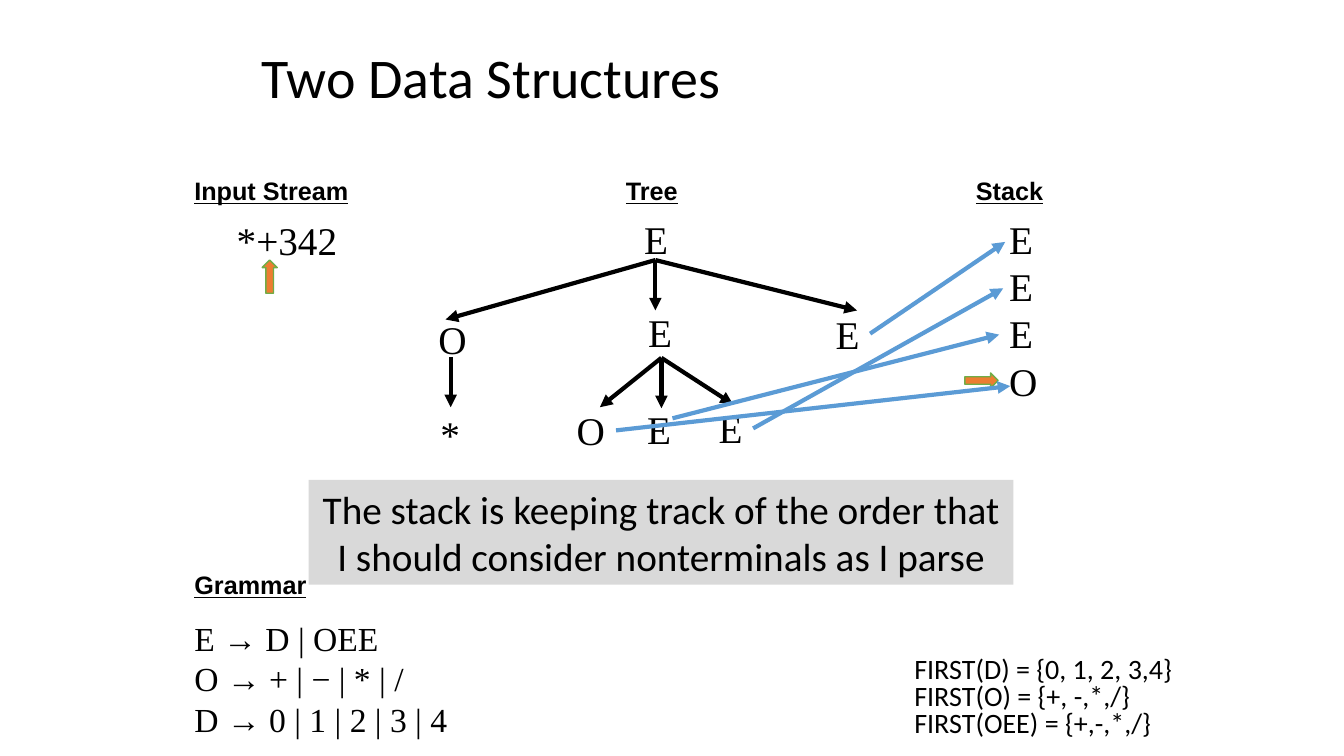
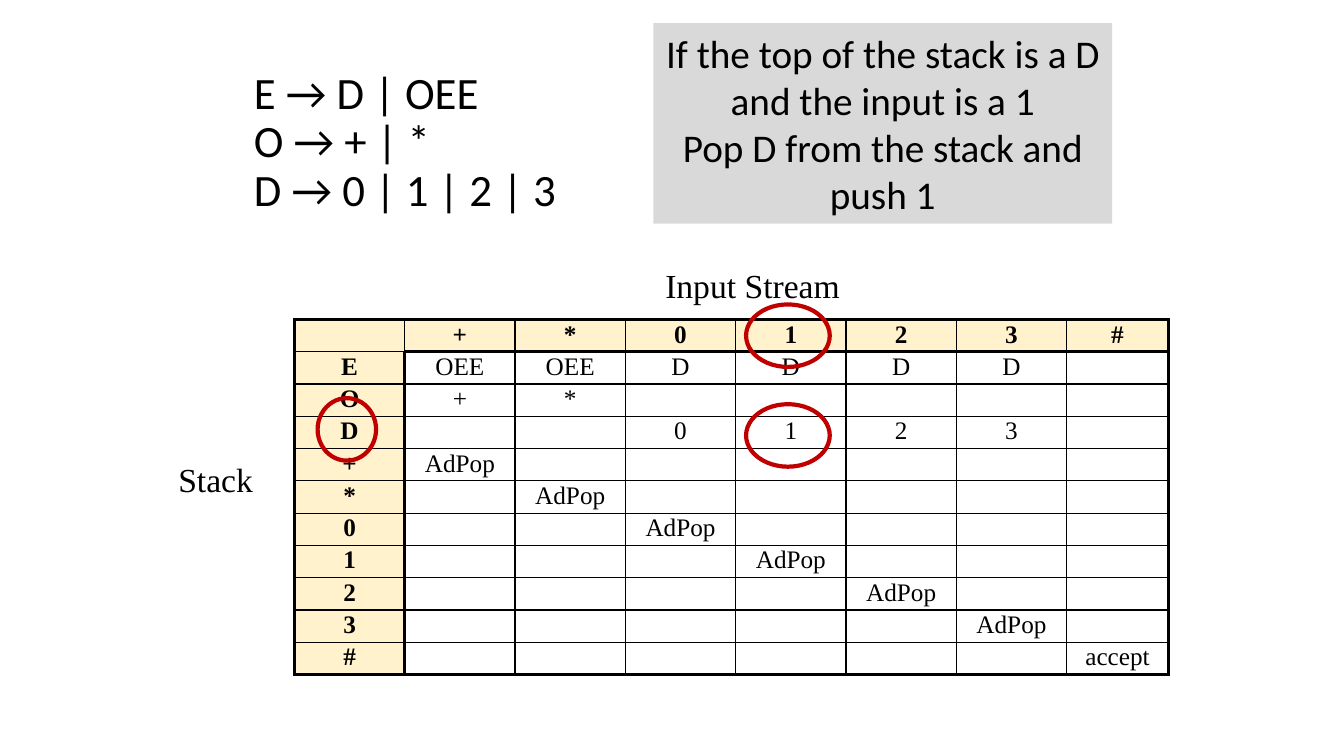
from lxml import etree
from pptx import Presentation
from pptx.dml.color import RGBColor
from pptx.enum.shapes import MSO_CONNECTOR, MSO_SHAPE
from pptx.enum.text import MSO_ANCHOR, PP_ALIGN
from pptx.oxml.ns import qn
from pptx.util import Inches, Pt

BLACK, GRAY, CREAM = "000000", "D9D9D9", "FFF2CC"
BLUE, ORANGE, GREEN, RED = "5B9BD5", "ED7D31", "70AD47", "C00000"

TITLE = {"name": "Calibri", "size": Pt(40)}
RULES_TITLE = {"name": "Calibri", "size": Pt(32)}
NOTE = {"name": "Calibri", "size": Pt(28)}
FIRST_SETS = {"name": "Calibri", "size": Pt(20)}
HEADING = {"name": "Arial", "size": Pt(18), "bold": True, "underline": True}
SYMBOL = {"name": "Times New Roman", "size": Pt(28)}
GRAMMAR = {"name": "Times New Roman", "size": Pt(24)}
CELL = {"name": "Times New Roman", "size": Pt(18)}

THIN, HEAVY, STROKE = 1, 2.25, 3


def color(value):
    return RGBColor.from_string(value)


class Deck:
    """Holds the presentation and the slide being drawn."""

    def __init__(self):
        self.prs = Presentation()
        self.prs.slide_width, self.prs.slide_height = Inches(13.33), Inches(7.5)
        self.shapes = None

    def new_slide(self):
        self.shapes = self.prs.slides.add_slide(self.prs.slide_layouts[6]).shapes

    def style_run(self, run, style):
        for attribute, value in style.items():
            setattr(run.font, attribute, value)
        run.font.color.rgb = color(BLACK)

    def fill_text(self, frame, lines, style, align=PP_ALIGN.LEFT, spacing=1.0):
        for index, line in enumerate(lines):
            paragraph = frame.paragraphs[0] if index == 0 else frame.add_paragraph()
            paragraph.alignment, paragraph.line_spacing = align, spacing
            run = paragraph.add_run()
            run.text = line
            self.style_run(run, style)

    def text(self, box, lines, style, wrap=False, spacing=1.0, anchor=MSO_ANCHOR.TOP):
        frame = self.shapes.add_textbox(*map(Inches, box)).text_frame
        frame.word_wrap, frame.vertical_anchor = wrap, anchor
        self.fill_text(frame, lines, style, spacing=spacing)

    def title(self, box, lines, style):
        self.text(box, lines, style, True, 0.9, MSO_ANCHOR.MIDDLE)

    def shape(self, kind, box, fill=None, line=None, width=THIN, rotation=0):
        shape = self.shapes.add_shape(kind, *map(Inches, box))
        shape.shadow.inherit = False
        shape.rotation = rotation
        if fill:
            shape.fill.solid()
            shape.fill.fore_color.rgb = color(fill)
        else:
            shape.fill.background()
        if line:
            shape.line.color.rgb = color(line)
            shape.line.width = Pt(width)
        else:
            shape.line.fill.background()
        return shape

    def note(self, box, lines):
        frame = self.shape(MSO_SHAPE.RECTANGLE, box, GRAY).text_frame
        frame.word_wrap = False
        self.fill_text(frame, lines, NOTE, PP_ALIGN.CENTER)

    def pointer(self, left, top, rotation=0):
        self.shape(MSO_SHAPE.UP_ARROW, (left, top, 0.15, 0.33), ORANGE, GREEN, rotation=rotation)

    def ring(self, left, top, width):
        self.shape(MSO_SHAPE.OVAL, (left, top, width, 0.62), line=RED, width=STROKE)

    def arrow(self, start, end, stroke):
        arrow = self.shapes.add_connector(MSO_CONNECTOR.STRAIGHT, *map(Inches, start + end))
        arrow.line.color.rgb = color(stroke)
        arrow.line.width = Pt(STROKE)
        properties = arrow._element.spPr
        etree.SubElement(properties.find(qn("a:ln")), qn("a:tailEnd"), type="triangle")
        etree.SubElement(properties, qn("a:effectLst"))

    def cell(self, cell, content, header, borders):
        cell.margin_left = cell.margin_right = Inches(0.1)
        cell.margin_top = cell.margin_bottom = Inches(0.01)
        properties = cell._tc.get_or_add_tcPr()
        for side, width in borders.items():
            border = etree.SubElement(properties, qn(f"a:ln{side}"), w=str(Pt(width)))
            fill = etree.SubElement(border, qn("a:solidFill"))
            etree.SubElement(fill, qn("a:srgbClr"), val=BLACK)
        if header:
            cell.fill.solid()
            cell.fill.fore_color.rgb = color(CREAM)
        else:
            cell.fill.background()
        if content:
            self.fill_text(cell.text_frame, [content], {**CELL, "bold": header}, PP_ALIGN.CENTER)
        else:
            paragraph = cell.text_frame.paragraphs[0]._p
            end = etree.SubElement(paragraph, qn("a:endParaRPr"), sz=str(int(CELL["size"].pt * 100)))
            etree.SubElement(end, qn("a:latin"), typeface=CELL["name"])

    def table(self, box, rows, last_width):
        """Draw a grid with a heavy frame and heavy lines beside its headers."""
        height, width = len(rows), len(rows[0])
        table = self.shapes.add_table(height, width, *map(Inches, box)).table
        table.first_row = table.horz_banding = False
        for column in table.columns:
            column.width = Inches((box[2] - last_width) / (width - 1))
        table.columns[width - 1].width = Inches(last_width)
        for r, row in enumerate(rows):
            table.rows[r].height = Inches(box[3] / height)
            for c, content in enumerate(row):
                heavy = {
                    "L": c == 0 or (c == 1 and r > 0),
                    "R": c == width - 1 or (c == 0 and r > 0),
                    "T": r == 0 or (r == 1 and c > 0),
                    "B": r == height - 1 or (r == 0 and c > 0),
                }
                borders = {side: HEAVY if on else THIN for side, on in heavy.items()}
                self.cell(table.cell(r, c), content, r == 0 or c == 0, borders)


def parser_action(top, symbol):
    """Return what the parser does for a stack top and an input symbol."""
    if top == symbol:
        return "accept" if symbol == "#" else "AdPop"
    if symbol in "+*":
        return {"E": "OEE", "O": symbol}.get(top, "")
    if symbol in "0123":
        return {"E": "D", "D": symbol}.get(top, "")
    return ""


def draw_structures(deck):
    deck.new_slide()
    deck.title((2.5, 0.17, 8.5, 1.25), ["Two Data Structures"], TITLE)
    for heading, left, top, width in [
        ("Input Stream", 1.83, 1.69, 1.74), ("Tree", 6.11, 1.69, 0.72),
        ("Stack", 9.58, 1.69, 0.88), ("Grammar", 1.83, 5.6, 1.32),
    ]:
        deck.text((left, top, width, 0.4), [heading], HEADING)

    deck.text((2.25, 2.1, 1.2, 0.57), ["*+342"], SYMBOL)
    deck.text((9.91, 2.09, 0.49, 2.46), list("EEEO"), SYMBOL)
    deck.pointer(9.66, 3.61, 90)
    deck.pointer(2.6, 2.58)

    widths = {"E": 0.44, "O": 0.49, "*": 0.4}
    for node, left, top in [
        ("E", 6.29, 2.09), ("O", 4.25, 3.08), ("E", 6.33, 3.01), ("E", 8.19, 3.03),
        ("*", 4.27, 4.02), ("O", 5.62, 3.98), ("E", 6.32, 3.97), ("E", 7.03, 3.96),
    ]:
        deck.text((left, top, widths[node], 0.57), [node], SYMBOL)
    branches = {
        (6.5, 2.58): [(4.42, 3.17), (6.5, 3.08), (8.5, 3.08)],
        (4.47, 3.54): [(4.47, 4.04)],
        (6.56, 3.55): [(5.95, 4.04), (6.56, 4.05), (7.27, 4.01)],
    }
    for parent, children in branches.items():
        for child in children:
            deck.arrow(parent, child, BLACK)

    deck.note((3.06, 4.76, 6.99, 1.04), [
        "The stack is keeping track of the order that",
        "I should consider nonterminals as I parse",
    ])
    for node, stack_entry in [
        ((6.67, 4.15), (9.91, 3.32)), ((7.47, 4.25), (9.95, 2.86)),
        ((8.63, 3.31), (9.97, 2.4)), ((6.11, 4.27), (10.02, 3.83)),
    ]:
        deck.arrow(node, stack_entry, BLUE)

    deck.text((1.83, 6.08, 2.92, 1.31),
              ["E → D | OEE", "O → + | − | * | /", "D → 0 | 1 | 2 | 3 | 4"], GRAMMAR, wrap=True)
    deck.text((8.97, 6.48, 2.79, 0.92),
              ["FIRST(D) = {0, 1, 2, 3,4}", "FIRST(O) = {+, -,*,/}", "FIRST(OEE) = {+,-,*,/}"],
              FIRST_SETS, spacing=0.8)


def draw_parse_table(deck):
    deck.new_slide()
    deck.title((2.42, 0.42, 4.67, 2), ["E → D | OEE", "O → + | *", "D → 0 | 1 | 2 | 3"], RULES_TITLE)
    terminals = "+*0123#"
    rows = [["", *terminals]]
    rows += [[top, *(parser_action(top, symbol) for symbol in terminals)] for top in "EOD" + terminals]
    deck.table((2.92, 3.17, 8.67, 3.52), rows, last_width=1.01)
    deck.text((1.67, 4.5, 1.25, 0.5), ["Stack"], GRAMMAR, wrap=True)
    deck.text((6.5, 2.58, 2.17, 0.5), ["Input Stream"], GRAMMAR, wrap=True)
    deck.note((6.48, 0.23, 4.55, 1.99), [
        "If the top of the stack is a D", "and the input is a 1",
        "Pop D from the stack and", "push 1",
    ])
    for left, top, width in [(3.15, 3.95, 0.58), (7.4, 3.02, 0.83), (7.4, 4.01, 0.83)]:
        deck.ring(left, top, width)


def main():
    deck = Deck()
    draw_structures(deck)
    draw_parse_table(deck)
    deck.prs.save("out.pptx")


if __name__ == "__main__":
    main()
